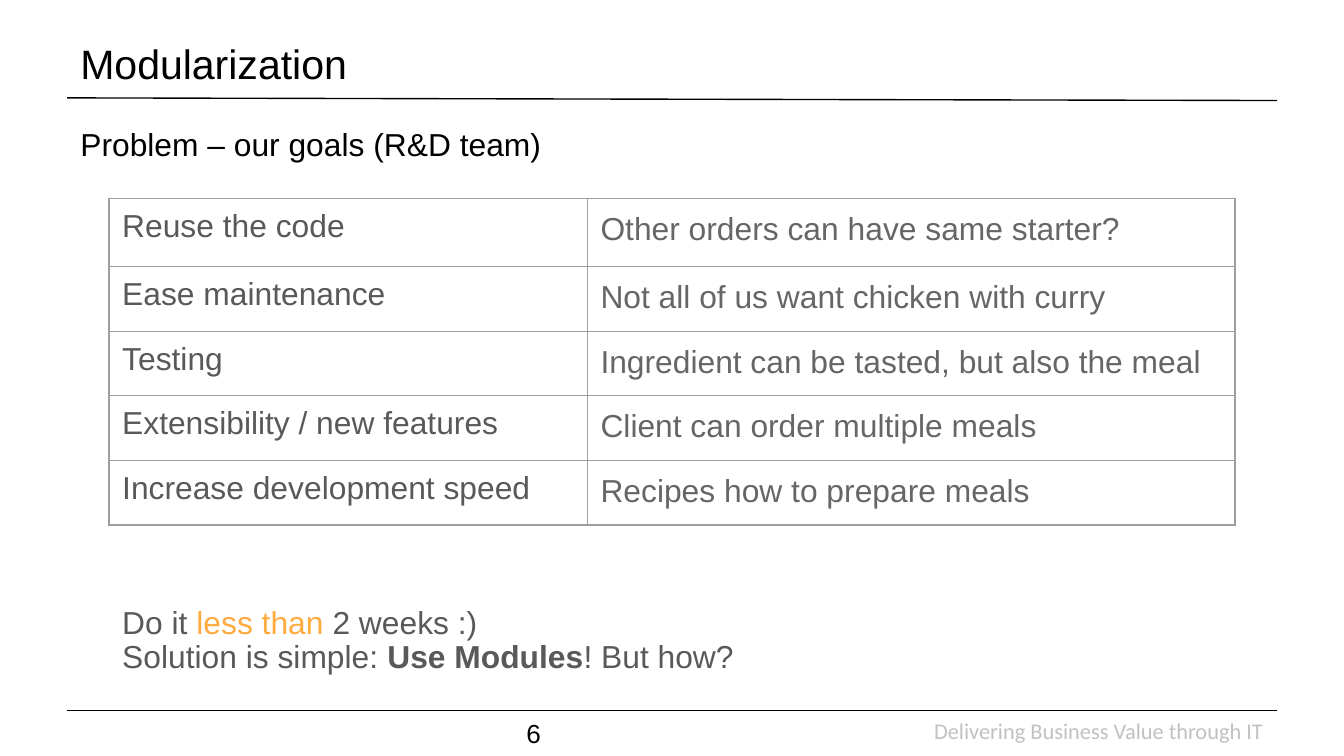
from lxml import etree
from pptx import Presentation
from pptx.dml.color import RGBColor
from pptx.enum.shapes import MSO_CONNECTOR
from pptx.enum.text import MSO_ANCHOR, PP_ALIGN
from pptx.oxml.ns import qn
from pptx.util import Cm, Pt

LINE = MSO_CONNECTOR.STRAIGHT
MIDDLE = MSO_ANCHOR.MIDDLE
TOP = MSO_ANCHOR.TOP
LEFT = PP_ALIGN.LEFT
RIGHT = PP_ALIGN.RIGHT

HUES = {
    "black": "000000",
    "dark": "595959",
    "gray": "666666",
    "pale": "C1C1C1",
    "grid": "9E9E9E",
    "gold": "FFAB40",
}
GOALS = [
    ("Reuse the code", "Other orders can have same starter?"),
    ("Ease maintenance", "Not all of us want chicken with curry"),
    ("Testing", "Ingredient can be tasted, but also the meal"),
    ("Extensibility / new features", "Client can order multiple meals"),
    ("Increase development speed", "Recipes how to prepare meals"),
]
CLOSING = [
    [("Do it ", "dark", False), ("less than", "gold", False),
     (" 2 weeks :)", "dark", False)],
    [("Solution is simple: ", "dark", False), ("Use Modules", "dark", True),
     ("! But how?", "dark", False)],
]


def style(run, size, hue, face="Arial", bold=False):
    run.font.size = Pt(size)
    run.font.name = face
    run.font.bold = bold
    run.font.color.rgb = RGBColor.from_string(HUES[hue])


def add_box(slide, box, pad=0.13):
    frame = slide.shapes.add_textbox(*map(Cm, box)).text_frame
    frame.word_wrap = True
    frame.margin_left = frame.margin_right = Cm(0.25)
    frame.margin_top = frame.margin_bottom = Cm(pad)
    return frame


def add_text(slide, box, text, size, hue="black", face="Arial",
             align=LEFT, anchor=TOP, pitch=1.0):
    frame = add_box(slide, box)
    frame.text = text
    frame.vertical_anchor = anchor
    para = frame.paragraphs[0]
    para.alignment = align
    para.line_spacing = pitch
    style(para.runs[0], size, hue, face)


def add_rule(slide, left, top, right, end):
    rule = slide.shapes.add_connector(LINE, *map(Cm, (left, top, right, end)))
    rule.line.width = Pt(0.75)
    rule.line.color.rgb = RGBColor.from_string(HUES["black"])
    etree.SubElement(rule._element.spPr, qn("a:effectLst"))


def add_edges(cell):
    props = cell._tc.get_or_add_tcPr()
    for spot, side in enumerate(("lnL", "lnR", "lnT", "lnB")):
        edge = etree.Element(qn(f"a:{side}"), w=str(Pt(0.75)))
        fill = etree.SubElement(edge, qn("a:solidFill"))
        etree.SubElement(fill, qn("a:srgbClr"), val=HUES["grid"])
        props.insert(spot, edge)


def add_head(slide, box):
    left, top, width, height = box
    add_text(slide, (left, top, 19.2, height), "Modularization", 22,
             anchor=MIDDLE)
    base = top + height
    add_rule(slide, left, base, left + width, base + 0.05)


def add_goals(slide, box):
    left, top, width, height = box
    first = 9.04
    low = 1.18
    shape = slide.shapes.add_table(len(GOALS), 2, *map(Cm, box))
    table = shape.table
    table.first_row = table.horz_banding = False
    table.columns[0].width = Cm(first)
    table.columns[1].width = Cm(width - first)
    for row in table.rows:
        row.height = Cm(low)
    table.rows[0].height = Cm(height - low * (len(GOALS) - 1))
    for r, pair in enumerate(GOALS):
        for c, text in enumerate(pair):
            cell = table.cell(r, c)
            cell.margin_left = cell.margin_right = Cm(0.25)
            cell.margin_top = cell.margin_bottom = Cm(0.25)
            cell.fill.background()
            add_edges(cell)
            cell.text = text
            para = cell.text_frame.paragraphs[0]
            para.line_spacing = (0.9, 1.0)[c]
            style(para.runs[0], 17, ("dark", "gray")[c])


def add_close(slide, box):
    para = add_box(slide, box, 0.25).paragraphs[0]
    para.line_spacing = 0.9
    for i, line in enumerate(CLOSING):
        if i:
            para.add_line_break()
        for text, hue, bold in line:
            run = para.add_run()
            run.text = text
            style(run, 17, hue, bold=bold)


def add_foot(slide, box):
    left, top, width, height = box
    add_rule(slide, left, top, left + width, top)
    add_text(slide, (left + 8.43, top, 5.92, height), "6", 14)
    span = 7.29
    add_text(slide, (left + width - span, top, span, height),
             "Delivering Business Value through IT", 12, "pale", "Calibri",
             RIGHT)


def main():
    deck = Presentation()
    deck.slide_width = Cm(25.4)
    deck.slide_height = Cm(14.29)
    slide = deck.slides.add_slide(deck.slide_layouts[6])
    add_head(slide, (1.27, 0.53, 22.86, 1.32))
    add_text(slide, (1.27, 2.31, 22.86, 9.37),
             "Problem – our goals (R&D team)", 17, pitch=0.9)
    add_goals(slide, (2.06, 3.75, 21.28, 6.01))
    add_close(slide, (2.06, 11.23, 12.5, 2.01))
    add_foot(slide, (1.27, 13.43, 22.86, 0.76))
    deck.save("out.pptx")


if __name__ == "__main__":
    main()
